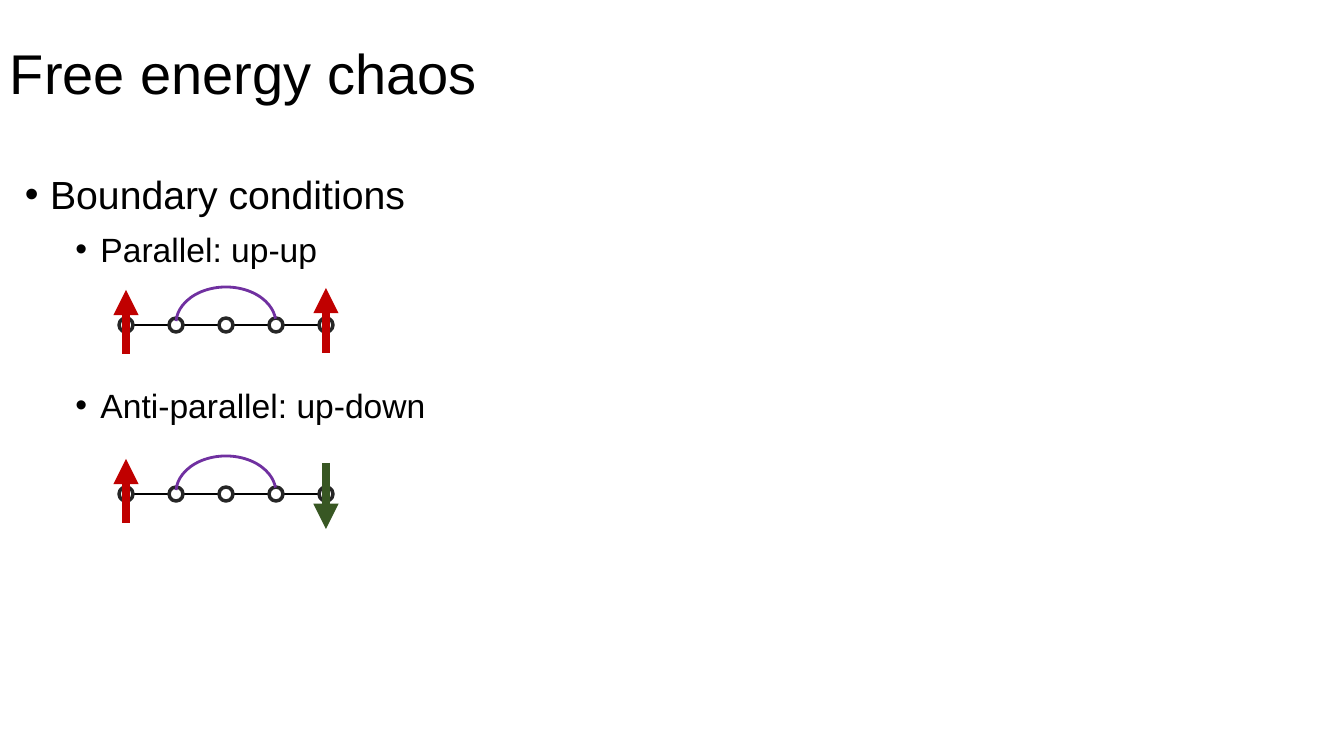
from lxml.etree import SubElement
from pptx import Presentation
from pptx.dml.color import RGBColor
from pptx.enum.shapes import MSO_CONNECTOR as Connector, MSO_SHAPE as Shape
from pptx.enum.text import MSO_ANCHOR as Anchor
from pptx.oxml.ns import qn
from pptx.util import Emu, Pt

BLACK = RGBColor(0x00, 0x00, 0x00)
WHITE = RGBColor(0xFF, 0xFF, 0xFF)
CHARCOAL = RGBColor(0x26, 0x26, 0x26)
PURPLE = RGBColor(0x70, 0x30, 0xA0)
RED = RGBColor(0xC0, 0x00, 0x00)
GREEN = RGBColor(0x38, 0x57, 0x23)


def px(*lengths):
    return [Emu(round(length * 914400 / 100.8)) for length in lengths]


def add_line(start_x, start_y, end_x, end_y, color, width, arrow=False):
    connector = slide.shapes.add_connector(Connector.STRAIGHT, *px(start_x, start_y, end_x, end_y))
    connector.line.color.rgb = color
    connector.line.width = Pt(width)
    if arrow:
        SubElement(connector.line._get_or_add_ln(), qn("a:tailEnd"), type="triangle")
    SubElement(connector._element.spPr, qn("a:effectLst"))


presentation = Presentation()
presentation.slide_width, presentation.slide_height = px(1344, 756)
slide = presentation.slides.add_slide(presentation.slide_layouts[6])

title = slide.shapes.add_textbox(*px(0, 3, 1159, 146)).text_frame
title.word_wrap = True
title.vertical_anchor = Anchor.MIDDLE
title.text = "Free energy chaos"
heading = title.paragraphs[0]
heading.line_spacing = 0.9
heading.font.size = Pt(40)
heading.font.name = "Arial"
heading.font.color.rgb = BLACK

body = slide.shapes.add_textbox(*px(15, 161, 497, 480)).text_frame
body.word_wrap = True
bullets = [
    ("Boundary conditions", 0, 28, 0),
    ("Parallel: up-up", 1, 24, 5),
    ("Anti-parallel: up-down", 1, 24, 80),
]
body.text = "\n".join(text for text, *_ in bullets)
for paragraph, (_, level, size, space_before) in zip(body.paragraphs, bullets):
    paragraph.level = level
    paragraph.line_spacing = 1.1
    paragraph.space_before = Pt(space_before)
    properties = paragraph._p.get_or_add_pPr()
    properties.set("marL", str(Pt(18 + 36 * level)))
    properties.set("indent", str(-Pt(18)))
    SubElement(properties, qn("a:buFont"), typeface="Arial")
    SubElement(properties, qn("a:buChar"), char="•")
    paragraph.font.size = Pt(size)
    paragraph.font.name = "Arial"
    paragraph.font.color.rgb = BLACK

FIRST_X, STEP, RADIUS = 126, 50, 7
LAST_X = FIRST_X + 4 * STEP
chains = [
    (325, 28, -37, RED),
    (494, -31, 35, GREEN),
]
for chain_y, arrow_start, arrow_end, arrow_color in chains:
    for bond_x in (FIRST_X, FIRST_X + 2 * STEP):
        add_line(bond_x + RADIUS, chain_y, bond_x + 2 * STEP - RADIUS, chain_y, BLACK, 1.5)

    for index in range(5):
        site_x = FIRST_X + index * STEP
        site = slide.shapes.add_shape(
            Shape.OVAL, *px(site_x - RADIUS, chain_y - RADIUS, 2 * RADIUS, 2 * RADIUS))
        site.shadow.inherit = False
        site.fill.solid()
        site.fill.fore_color.rgb = WHITE
        site.line.color.rgb = CHARCOAL
        site.line.width = Pt(2.5)

    arc = slide.shapes.add_shape(Shape.ARC, *px(FIRST_X + STEP, chain_y - 38, 2 * STEP, 73))
    arc.adjustments[0] = 109.66
    arc.adjustments[1] = 212.66
    arc.shadow.inherit = False
    arc.fill.background()
    arc.line.color.rgb = PURPLE
    arc.line.width = Pt(2)

    add_line(FIRST_X, chain_y + 29, FIRST_X, chain_y - 35, RED, 6, arrow=True)
    add_line(LAST_X, chain_y + arrow_start, LAST_X, chain_y + arrow_end, arrow_color, 6, arrow=True)

presentation.save("out.pptx")
